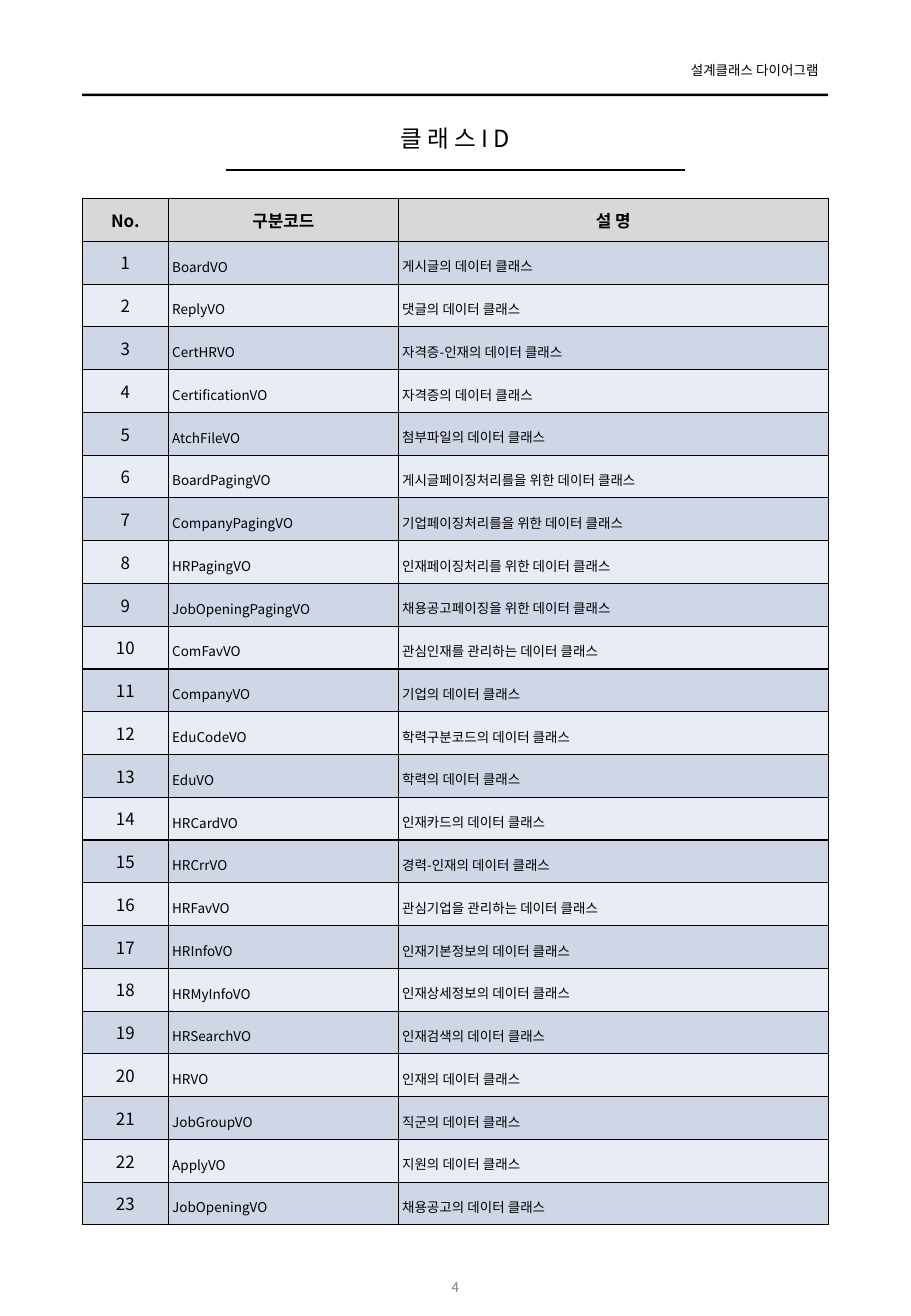
"""Build the class ID list page of a design class diagram document."""
from dataclasses import dataclass

import lxml.etree
import pptx
import pptx.dml.color
import pptx.enum.shapes
import pptx.enum.text
import pptx.oxml.ns
import pptx.util

Cm = pptx.util.Cm
Pt = pptx.util.Pt
ALIGN = pptx.enum.text.PP_ALIGN
ANCHOR = pptx.enum.text.MSO_ANCHOR
FONT = "Noto Sans CJK KR"
BLACK, GRAY, HEADER_FILL = "000000", "7F7F7F", "D8D8D8"
BAND_FILLS = ("CFD7E7", "E8ECF4")
LEFT, CONTENT_WIDTH = 1.72, 15.6
TABLE_TOP, TABLE_HEIGHT = 4.15, 21.46
COLUMN_WIDTHS = (1.8, 4.81, 8.99)
HEADINGS = ("No.", "구분코드", "설 명")
CLASSES = (
    ("BoardVO", "게시글의 데이터 클래스"),
    ("ReplyVO", "댓글의 데이터 클래스"),
    ("CertHRVO", "자격증-인재의 데이터 클래스"),
    ("CertificationVO", "자격증의 데이터 클래스"),
    ("AtchFileVO", "첨부파일의 데이터 클래스"),
    ("BoardPagingVO", "게시글페이징처리를을 위한 데이터 클래스"),
    ("CompanyPagingVO", "기업페이징처리를을 위한 데이터 클래스"),
    ("HRPagingVO", "인재페이징처리를 위한 데이터 클래스"),
    ("JobOpeningPagingVO", "채용공고페이징을 위한 데이터 클래스"),
    ("ComFavVO", "관심인재를 관리하는 데이터 클래스"),
    ("CompanyVO", "기업의 데이터 클래스"),
    ("EduCodeVO", "학력구분코드의 데이터 클래스"),
    ("EduVO", "학력의 데이터 클래스"),
    ("HRCardVO", "인재카드의 데이터 클래스"),
    ("HRCrrVO", "경력-인재의 데이터 클래스"),
    ("HRFavVO", "관심기업을 관리하는 데이터 클래스"),
    ("HRInfoVO", "인재기본정보의 데이터 클래스"),
    ("HRMyInfoVO", "인재상세정보의 데이터 클래스"),
    ("HRSearchVO", "인재검색의 데이터 클래스"),
    ("HRVO", "인재의 데이터 클래스"),
    ("JobGroupVO", "직군의 데이터 클래스"),
    ("ApplyVO", "지원의 데이터 클래스"),
    ("JobOpeningVO", "채용공고의 데이터 클래스"),
)


@dataclass(frozen=True)
class TextStyle:
    """Look of a text; insets are left, top, right, bottom in cm."""
    size: float
    align: ALIGN = ALIGN.CENTER
    anchor: ANCHOR = ANCHOR.MIDDLE
    insets: tuple = (0.25, 0.13, 0.25, 0.13)
    bold: bool = False
    color: str = BLACK
    line_spacing: float = 1.0


@dataclass(frozen=True)
class Label:
    """A text box with its place in cm."""
    text: str
    left: float
    top: float
    width: float
    height: float
    style: TextStyle


ENTRY_INSETS = (0.08, 0.24, 0.08, 0.17)
HEADING = TextStyle(10, bold=True)
NUMBER = TextStyle(10)
CODE = TextStyle(8, ALIGN.LEFT, ANCHOR.BOTTOM, ENTRY_INSETS, line_spacing=1.15)
DESCRIPTION = TextStyle(8, ALIGN.LEFT, ANCHOR.MIDDLE, ENTRY_INSETS, line_spacing=1.15)
LABELS = (
    Label("설계클래스 다이어그램", 13.6, 1.17, 3.72, 0.66,
          TextStyle(8, ALIGN.RIGHT, ANCHOR.TOP, (0.25, 0.13, 0.2, 0.13))),
    Label("클 래 스 I D", LEFT, 2.46, CONTENT_WIDTH, 0.97,
          TextStyle(14, anchor=ANCHOR.TOP, insets=(0, 0.13, 0, 0.13))),
    Label("4", 8.33, 26.39, 2.39, 1.02, TextStyle(8, color=GRAY)),
)


def rgb(value: str) -> pptx.dml.color.RGBColor:
    """Turn a hex string into a colour."""
    return pptx.dml.color.RGBColor.from_string(value)


def set_attributes(target, values: dict) -> None:
    """Set every attribute named in the dict."""
    for name, value in values.items():
        setattr(target, name, value)


def add_child(parent, tag: str, **attributes: str):
    """Append a DrawingML element and return it."""
    return lxml.etree.SubElement(parent, pptx.oxml.ns.qn(tag), attributes)


def write_text(text_frame, text: str, style: TextStyle) -> None:
    """Write one styled paragraph into a text frame."""
    paragraph = text_frame.paragraphs[0]
    set_attributes(paragraph, {"alignment": style.align, "line_spacing": style.line_spacing})
    run = paragraph.add_run()
    run.text = text
    run.font.color.rgb = rgb(style.color)
    set_attributes(run.font, {"name": FONT, "size": Pt(style.size), "bold": style.bold})
    add_child(run.font._element, "a:ea", typeface=FONT)


def frame_values(style: TextStyle) -> dict:
    """Give the insets and anchor shared by text boxes and cells."""
    sides = ("margin_left", "margin_top", "margin_right", "margin_bottom")
    values = {side: Cm(inset) for side, inset in zip(sides, style.insets)}
    return values | {"vertical_anchor": style.anchor}


def add_label(slide, label: Label) -> None:
    """Add a text box."""
    box = slide.shapes.add_textbox(
        Cm(label.left), Cm(label.top), Cm(label.width), Cm(label.height))
    set_attributes(box.text_frame, frame_values(label.style) | {"word_wrap": True})
    write_text(box.text_frame, label.text, label.style)


def add_rules(slide) -> None:
    """Add the header bar and the line under the title."""
    bar = slide.shapes.add_shape(pptx.enum.shapes.MSO_SHAPE.RECTANGLE,
                                 Cm(LEFT), Cm(1.96), Cm(CONTENT_WIDTH), Cm(0.05))
    bar.shadow.inherit = False
    bar.fill.solid()
    bar.fill.fore_color.rgb = rgb(BLACK)
    bar.line.fill.background()
    underline = slide.shapes.add_connector(pptx.enum.shapes.MSO_CONNECTOR.STRAIGHT,
                                           Cm(4.72), Cm(3.55), Cm(14.33), Cm(3.55))
    underline.line.color.rgb = rgb(BLACK)
    underline.line.width = Pt(1)
    add_child(underline._element.spPr, "a:effectLst")


def fill_cell(cell, text: str, style: TextStyle, fill: str) -> None:
    """Write a cell with its borders and fill."""
    set_attributes(cell, frame_values(style))
    write_text(cell.text_frame, text, style)
    properties = cell._tc.get_or_add_tcPr()
    for side in "LRTB":
        border = add_child(properties, f"a:ln{side}", w=str(Pt(0.75)))
        add_child(add_child(border, "a:solidFill"), "a:srgbClr", val=BLACK)
    cell.fill.solid()
    cell.fill.fore_color.rgb = rgb(fill)


def add_class_table(slide) -> None:
    """Add the numbered table of classes."""
    row_count = len(CLASSES) + 1
    table = slide.shapes.add_table(
        row_count, len(HEADINGS), Cm(LEFT), Cm(TABLE_TOP),
        Cm(CONTENT_WIDTH), Cm(TABLE_HEIGHT)).table
    set_attributes(table, {"first_row": False, "horz_banding": False})
    for column, width in zip(table.columns, COLUMN_WIDTHS):
        column.width = Cm(width)
    for row in table.rows:
        row.height = Cm(TABLE_HEIGHT / row_count)
    for cell, heading in zip(table.rows[0].cells, HEADINGS):
        fill_cell(cell, heading, HEADING, HEADER_FILL)
    for number, (code, description) in enumerate(CLASSES, 1):
        fill = BAND_FILLS[(number - 1) % 2]
        entries = ((str(number), NUMBER), (code, CODE), (description, DESCRIPTION))
        for cell, (text, style) in zip(table.rows[number].cells, entries):
            fill_cell(cell, text, style, fill)


def main() -> None:
    """Build and save the presentation."""
    presentation = pptx.Presentation()
    set_attributes(presentation, {"slide_width": Cm(19.05), "slide_height": Cm(27.51)})
    slide = presentation.slides.add_slide(presentation.slide_layouts[6])
    add_rules(slide)
    for label in LABELS:
        add_label(slide, label)
    add_class_table(slide)
    presentation.save("out.pptx")


main()
